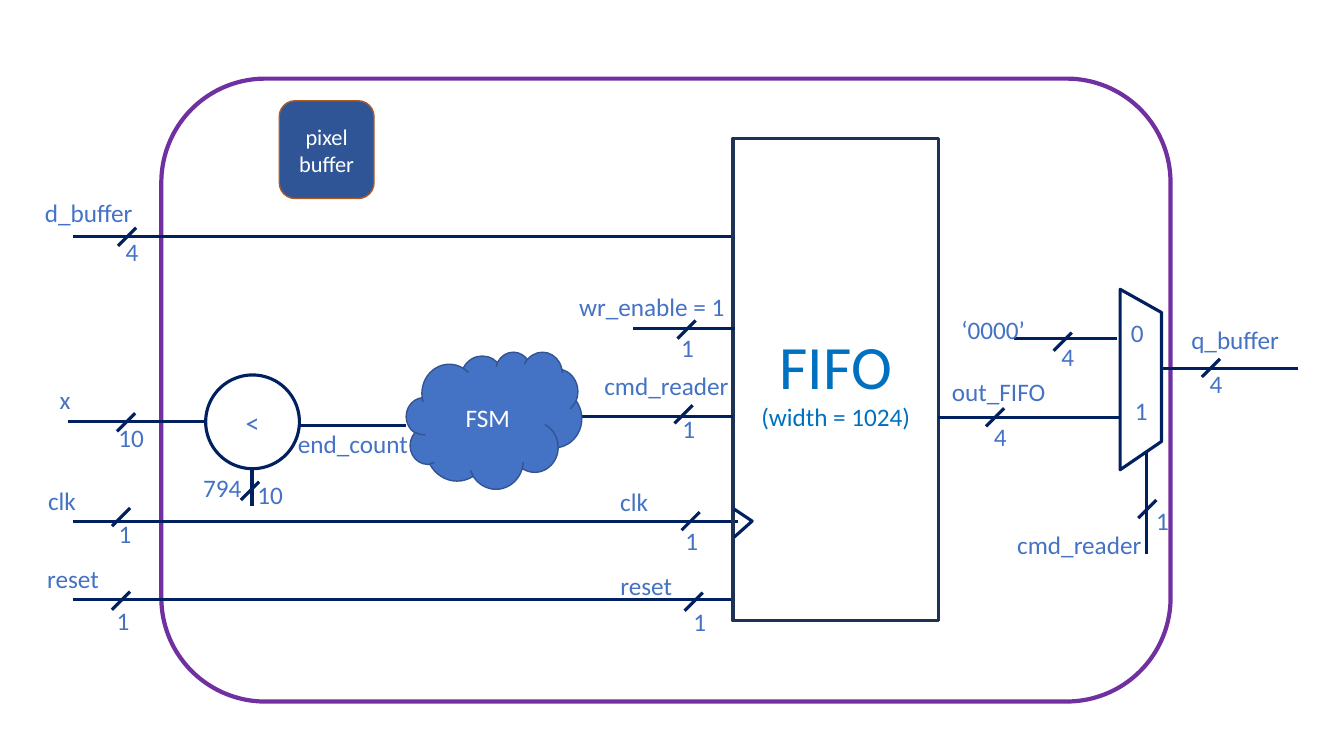
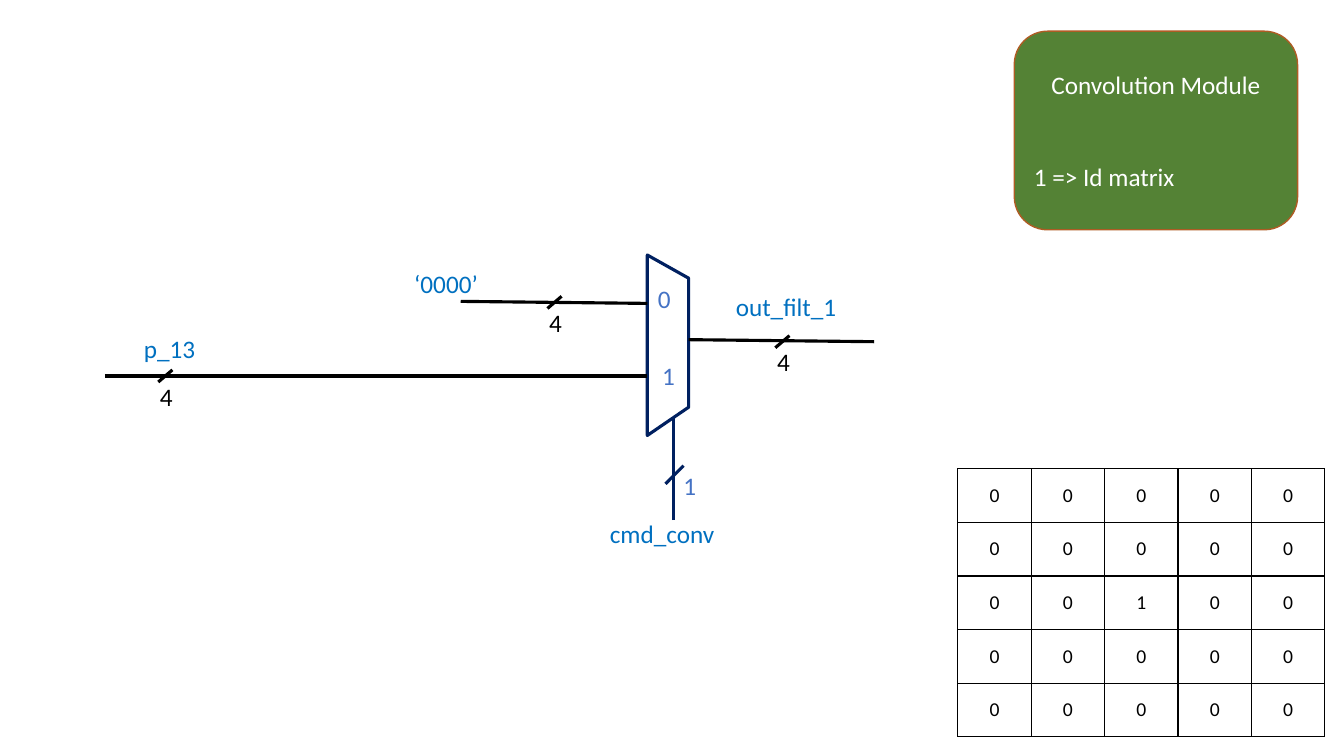
import dataclasses

import lxml.etree
import pptx
import pptx.dml.color
import pptx.enum.shapes
import pptx.enum.text
import pptx.oxml
import pptx.oxml.ns
import pptx.slide
import pptx.util

Inches = pptx.util.Inches
Pt = pptx.util.Pt
RGBColor = pptx.dml.color.RGBColor
Shape = pptx.enum.shapes.MSO_SHAPE
Align = pptx.enum.text.PP_ALIGN
Anchor = pptx.enum.text.MSO_ANCHOR
qn = pptx.oxml.ns.qn

FONT = "Calibri"
NAVY = RGBColor(0x00, 0x20, 0x60)
BLUE = RGBColor(0x44, 0x72, 0xC4)
SKY = RGBColor(0x00, 0x70, 0xC0)
PURPLE = RGBColor(0x70, 0x30, 0xA0)
DARK_BLUE = RGBColor(0x2F, 0x55, 0x97)
FIFO_EDGE = RGBColor(0x1E, 0x32, 0x56)
CLOUD_EDGE = RGBColor(0x32, 0x54, 0x91)
RUST = RGBColor(0xAF, 0x5C, 0x24)
GREEN = RGBColor(0x54, 0x82, 0x35)
WHITE = RGBColor(0xFF, 0xFF, 0xFF)
BLACK = RGBColor(0x00, 0x00, 0x00)

WIRE_WIDTH = 2.25
LABEL_SIZE = 18
LABEL_HEIGHT = 0.4
BITS_WIDTH = 0.48
MATRIX_SIZE = 5


def style_paragraph(paragraph, text, size, color, align=Align.CENTER):
    paragraph.text = text
    paragraph.alignment = align
    paragraph.font.name = FONT
    paragraph.font.size = Pt(size)
    paragraph.font.color.rgb = color


def style_outline(shape, fill, edge, width):
    shape.shadow.inherit = False
    if fill is None:
        shape.fill.background()
    else:
        shape.fill.solid()
        shape.fill.fore_color.rgb = fill
    shape.line.color.rgb = edge
    shape.line.width = Pt(width)


@dataclasses.dataclass
class Region:
    slide: pptx.slide.Slide
    left: float
    top: float

    def place(self, x, y):
        return Inches(self.left + x), Inches(self.top + y)

    def wire(self, start, end, color=NAVY):
        line = self.slide.shapes.add_connector(
            pptx.enum.shapes.MSO_CONNECTOR.STRAIGHT,
            *self.place(*start), *self.place(*end))
        line.line.color.rgb = color
        line.line.width = Pt(WIRE_WIDTH)
        properties = line._element.find(qn("p:spPr"))
        lxml.etree.SubElement(properties, qn("a:effectLst"))

    def label(self, text, at, width, color=BLUE, align=Align.CENTER):
        box = self.slide.shapes.add_textbox(
            *self.place(*at), Inches(width), Inches(LABEL_HEIGHT))
        box.text_frame.word_wrap = True
        box.text_frame.auto_size = pptx.enum.text.MSO_AUTO_SIZE.SHAPE_TO_FIT_TEXT
        style_paragraph(box.text_frame.paragraphs[0], text, LABEL_SIZE, color, align)

    def bus_width(self, bits, center, bits_at, half=(0.09, 0.09),
                  tick_color=NAVY, bits_color=BLUE):
        x, y = center
        dx, dy = half
        self.wire((x - dx, y + dy), (x + dx, y - dy), tick_color)
        bits_x, bits_y = bits_at
        self.label(bits, (bits_x - BITS_WIDTH / 2, bits_y), BITS_WIDTH, bits_color)

    def outline(self, points, close):
        first, *rest = [self.place(*point) for point in points]
        builder = self.slide.shapes.build_freeform(*first)
        builder.add_line_segments(rest, close=close)
        style_outline(builder.convert_to_shape(), None, NAVY, WIRE_WIDTH)

    def block(self, kind, at, size, fill, edge, width, lines=()):
        shape = self.slide.shapes.add_shape(
            kind, *self.place(*at), *map(Inches, size))
        style_outline(shape, fill, edge, width)
        frame = shape.text_frame
        frame.vertical_anchor = Anchor.MIDDLE
        for index, (text, points, color) in enumerate(lines):
            paragraph = frame.add_paragraph() if index else frame.paragraphs[0]
            style_paragraph(paragraph, text, points, color)
        return shape


def draw_module_frame(region):
    region.block(Shape.ROUNDED_RECTANGLE, (0, 0), (10.01, 6.18), WHITE, PURPLE, 3)
    region.block(Shape.ROUNDED_RECTANGLE, (1.17, 0.22), (0.94, 0.97),
                 DARK_BLUE, RUST, 1,
                 [("pixel", 16, WHITE), ("buffer", 16, WHITE)])


def draw_signals(region, signals):
    for start, end, name, name_at, name_width, bits, tick, bits_at in signals:
        if start:
            region.wire(start, end)
        region.label(name, name_at, name_width)
        region.bus_width(bits, tick, bits_at)


def draw_inputs(region):
    draw_signals(region, [
        ((0.52, 0.45), (7.07, 0.45), "d_buffer", (0.14, 0.01), 1.08,
         "4", (1.06, 0.45), (1.11, 0.4)),
        ((0.52, 3.27), (7.12, 3.27), "clk", (0, 2.87), 0.83,
         "1", (1, 3.23), (1.04, 3.19)),
        ((0.52, 4.05), (7.08, 4.05), "reset", (0.11, 3.64), 0.83,
         "1", (1, 4.06), (1.02, 4.06)),
    ])


def draw_counter(region):
    draw_signals(region, [
        ((0.34, 0.69), (1.69, 0.69), "x", (0, 0.27), 0.63,
         "10", (0.92, 0.7), (0.97, 0.65)),
        ((2.17, 1.53), (2.17, 1.17), "794", (1.56, 1.15), 0.63,
         "10", (2.15, 1.38), (2.35, 1.22)),
    ])
    region.block(Shape.OVAL, (1.71, 0.23), (0.93, 0.93), WHITE, NAVY, WIRE_WIDTH,
                 [("<", 20, BLUE)])
    region.block(Shape.CLOUD, (3.7, 0), (1.74, 1.36), BLUE, CLOUD_EDGE, 1,
                 [("FSM", LABEL_SIZE, WHITE)])
    region.wire((2.63, 0.73), (3.7, 0.73))
    region.label("end_count", (2.47, 0.71), 1.4)


def draw_fifo(region):
    region.block(Shape.RECTANGLE, (0, 0), (2.04, 4.79), None, FIFO_EDGE, WIRE_WIDTH,
                 [("FIFO", 44, SKY), ("(width = 1024)", LABEL_SIZE, SKY)])
    region.outline([(0.01, 3.68), (0.19, 3.8), (0.01, 3.96)], False)
    draw_signals(region, [
        ((-0.99, 1.89), (0.02, 1.89), "wr_enable = 1", (-1.64, 1.47), 1.67,
         "1", (-0.46, 1.9), (-0.45, 1.88)),
        ((-1.5, 2.76), (0, 2.76), "cmd_reader", (-1.4, 2.25), 1.48,
         "1", (-0.49, 2.74), (-0.44, 2.68)),
        (None, None, "clk", (-1.48, 3.41), 1,
         "1", (-0.42, 3.8), (-0.41, 3.79)),
        (None, None, "reset", (-1.36, 4.24), 1,
         "1", (-0.39, 4.6), (-0.33, 4.6)),
    ])


def draw_mux(region):
    region.outline([(0, 0), (0.41, 0.23), (0.41, 1.51), (0, 1.79)], True)
    region.label("0", (-0.01, 0.23), 0.36)
    region.label("1", (0.01, 1), 0.4)
    region.wire((0.26, 2.63), (0.26, 1.62))
    region.bus_width("1", (0.27, 2.18), (0.42, 2.09))


def draw_buffer_output(region):
    draw_mux(region)
    draw_signals(region, [
        ((-1.05, 0.49), (-0.03, 0.49), "‘0000’", (-1.8, 0.2), 1.08,
         "4", (-0.57, 0.52), (-0.52, 0.47)),
        ((-1.81, 1.27), (0, 1.27), "out_FIFO", (-1.81, 0.81), 1.21,
         "4", (-1.24, 1.27), (-1.19, 1.26)),
        ((0.41, 0.79), (1.76, 0.79), "q_buffer", (0.6, 0.3), 1.08,
         "4", (0.9, 0.78), (0.95, 0.73)),
    ])
    region.label("cmd_reader", (-1.16, 2.33), 1.51)


def draw_convolution_output(region):
    draw_mux(region)
    for start, end, name, name_at, name_width, tick in [
        ((-5.38, 1.2), (0, 1.2), "p_13", (-5.09, 0.73), 0.76, (-4.78, 1.2)),
        ((-1.85, 0.46), (0, 0.48), "‘0000’", (-2.41, 0.08), 0.92, (-0.92, 0.47)),
        ((0.41, 0.84), (2.25, 0.86), "out_filt_1", (0.78, 0.31), 1.47, (1.34, 0.86)),
    ]:
        region.wire(start, end, BLACK)
        region.label(name, name_at, name_width, SKY, Align.LEFT)
        region.bus_width("4", tick, (tick[0] + 0.01, tick[1]), (0.07, 0.06),
                         BLACK, BLACK)
    region.label("cmd_conv", (-0.47, 2.56), 1.47, SKY, Align.LEFT)


def draw_convolution_heading(region):
    heading = region.block(Shape.ROUNDED_RECTANGLE, (0, 0), (2.81, 1.97),
                           GREEN, RUST, 1,
                           [("Convolution Module", LABEL_SIZE, WHITE),
                            ("1 => Id matrix", LABEL_SIZE, WHITE)])
    matrix_line = heading.text_frame.paragraphs[1]
    matrix_line.alignment = Align.LEFT
    matrix_line.space_before = Pt(44)


def add_cell_borders(cell):
    properties = cell._tc.get_or_add_tcPr()
    for index, side in enumerate(("a:lnL", "a:lnR", "a:lnT", "a:lnB")):
        border = lxml.etree.Element(qn(side), w=str(Pt(1)))
        fill = lxml.etree.SubElement(border, qn("a:solidFill"))
        lxml.etree.SubElement(fill, qn("a:srgbClr"), val=str(BLACK))
        properties.insert(index, border)


def draw_kernel(region, width, height):
    table = region.slide.shapes.add_table(
        MATRIX_SIZE, MATRIX_SIZE, *region.place(0, 0),
        Inches(width), Inches(height)).table
    table.first_row = False
    table.horz_banding = False
    center = MATRIX_SIZE // 2
    for row in range(MATRIX_SIZE):
        table.rows[row].height = Inches(height / MATRIX_SIZE)
        for column in range(MATRIX_SIZE):
            cell = table.cell(row, column)
            cell.fill.background()
            cell.vertical_anchor = Anchor.MIDDLE
            cell.margin_left = cell.margin_right = Inches(0.08)
            cell.margin_top = cell.margin_bottom = Inches(0.04)
            weight = "1" if row == column == center else "0"
            style_paragraph(cell.text_frame.paragraphs[0], weight, 14, BLACK)
            add_cell_borders(cell)


def build_pixel_buffer_slide(slide):
    draw_module_frame(Region(slide, 1.6, 0.78))
    draw_inputs(Region(slide, 0.2, 1.9))
    draw_fifo(Region(slide, 7.27, 1.37))
    draw_counter(Region(slide, 0.33, 3.49))
    draw_buffer_output(Region(slide, 11.11, 2.87))


def build_convolution_slide(slide):
    draw_convolution_heading(Region(slide, 10.06, 0.31))
    draw_convolution_output(Region(slide, 6.42, 2.53))
    draw_kernel(Region(slide, 9.5, 4.65), 3.64, 2.66)


def main():
    presentation = pptx.Presentation()
    presentation.slide_width = Inches(13.33)
    presentation.slide_height = Inches(7.5)
    blank_layout = presentation.slide_layouts[6]
    for build in (build_pixel_buffer_slide, build_convolution_slide):
        build(presentation.slides.add_slide(blank_layout))
    presentation.save("out.pptx")


if __name__ == "__main__":
    main()
